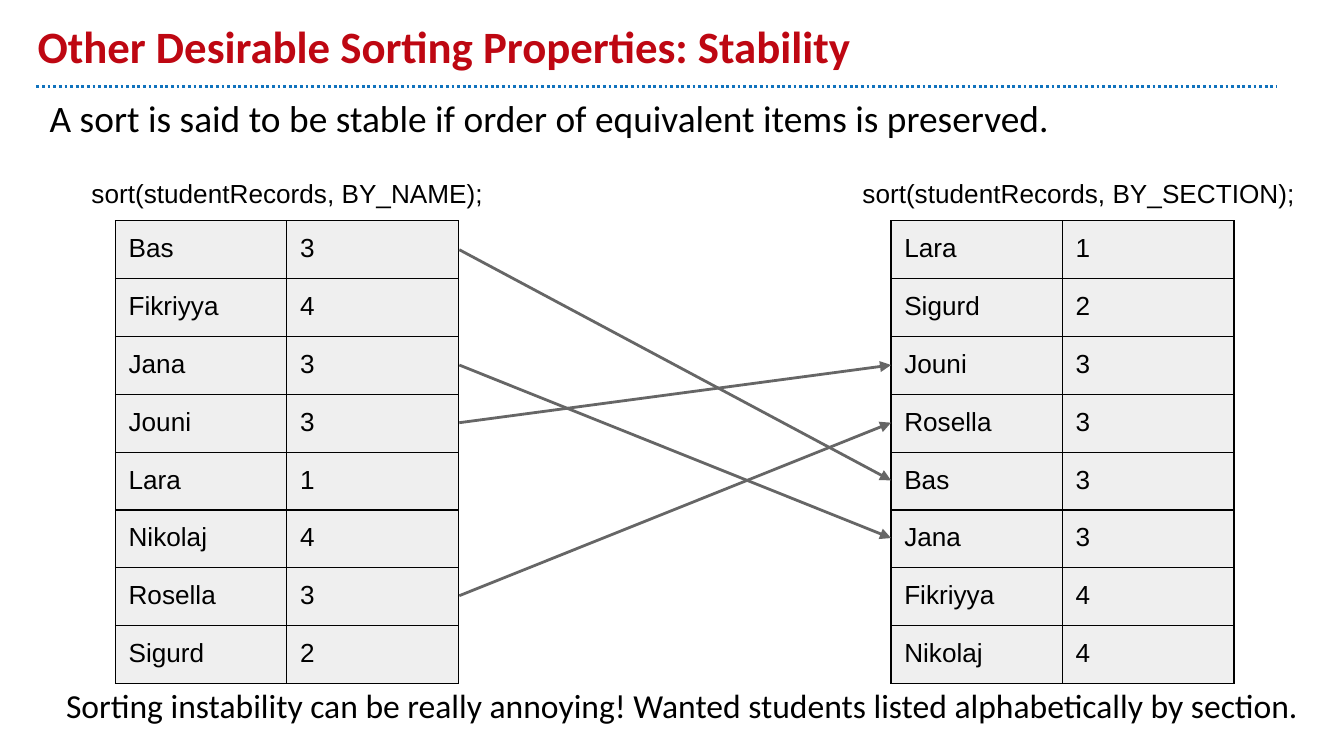
import pptx
import pptx.dml.color
import pptx.enum.dml
import pptx.enum.shapes
import pptx.enum.text
import pptx.oxml
import pptx.oxml.ns
import pptx.util
from pptx.util import Cm

TITLE = "Other Desirable Sorting Properties: Stability"
DEFINITION = "A sort is said to be stable if order of equivalent items is preserved."
REMARK = ("Sorting instability can be really annoying! "
          "Wanted students listed alphabetically by section.")
BY_NAME = [("Bas", 3), ("Fikriyya", 4), ("Jana", 3), ("Jouni", 3),
           ("Lara", 1), ("Nikolaj", 4), ("Rosella", 3), ("Sigurd", 2)]
BY_SECTION = [("Lara", 1), ("Sigurd", 2), ("Jouni", 3), ("Rosella", 3),
              ("Bas", 3), ("Jana", 3), ("Fikriyya", 4), ("Nikolaj", 4)]
TRACKED_STUDENTS = ["Jana", "Jouni", "Rosella", "Bas"]

THEME = {
    "heading_font": "Calibri", "code_font": "Arial",
    "title": 24, "definition": 20, "remark": 18, "code": 14,
    "red": "BE0712", "black": "000000", "blue": "1072BD",
    "arrow": "666666", "cell": "EFEFEF",
}

# Lengths in centimetres
INSET = 0.25
TABLE_TOP, COLUMN_WIDTH, ROW_HEIGHT = 4.17, 3.24, 1.06
LEFT_TABLE, RIGHT_TABLE = 2.18, 16.84
ARROW_START, ARROW_END = 8.68, 16.84
ARROW_TOP, ARROW_PITCH = 4.72, 1.09


def color(name):
    return pptx.dml.color.RGBColor.from_string(THEME[name])


def write(frame, text, size, font, ink="black", bold=False):
    frame.word_wrap = True
    frame.margin_left = frame.margin_right = Cm(INSET)
    frame.margin_top = frame.margin_bottom = Cm(INSET)
    paragraph = frame.paragraphs[0]
    paragraph.text = text
    paragraph.alignment = pptx.enum.text.PP_ALIGN.LEFT
    paragraph.font.name = THEME[font]
    paragraph.font.size = pptx.util.Pt(THEME[size])
    paragraph.font.color.rgb = color(ink)
    paragraph.font.bold = bold


def add_text(slide, box, text, size, font):
    shape = slide.shapes.add_textbox(*map(Cm, box))
    write(shape.text_frame, text, size, font)


def add_title(slide):
    title = slide.shapes.title
    title.left, title.top, title.width, title.height = map(
        Cm, (0.46, 0.25, 22.86, 1.37))
    frame = title.text_frame
    frame.auto_size = pptx.enum.text.MSO_AUTO_SIZE.NONE
    frame.vertical_anchor = pptx.enum.text.MSO_ANCHOR.BOTTOM
    write(frame, TITLE, "title", "heading_font", "red", True)


def add_line(slide, ends, ink):
    line = slide.shapes.add_connector(
        pptx.enum.shapes.MSO_CONNECTOR.STRAIGHT, *map(Cm, ends))
    line.line.color.rgb = color(ink)
    line.line.width = pptx.util.Pt(1.5)
    properties = line._element.spPr
    properties.append(pptx.oxml.parse_xml(
        f"<a:effectLst {pptx.oxml.ns.nsdecls('a')}/>"))
    return line


def add_arrow(slide, ends):
    arrow = add_line(slide, ends, "arrow")
    arrow.line._get_or_add_ln().append(pptx.oxml.parse_xml(
        f"<a:tailEnd {pptx.oxml.ns.nsdecls('a')} type='triangle'/>"))


def add_borders(cell):
    properties = cell._tc.get_or_add_tcPr()
    for side in "LRTB":
        properties.append(pptx.oxml.parse_xml(
            f"<a:ln{side} {pptx.oxml.ns.nsdecls('a')} w='9525'><a:solidFill>"
            f"<a:srgbClr val='{THEME['black']}'/></a:solidFill></a:ln{side}>"))


def add_records(slide, left, records):
    table = slide.shapes.add_table(
        len(records), 2, Cm(left), Cm(TABLE_TOP),
        Cm(2 * COLUMN_WIDTH), Cm(len(records) * ROW_HEIGHT)).table
    for column in table.columns:
        column.width = Cm(COLUMN_WIDTH)
    for row, record in enumerate(records):
        table.rows[row].height = Cm(ROW_HEIGHT)
        for column, value in enumerate(record):
            cell = table.cell(row, column)
            add_borders(cell)
            cell.fill.solid()
            cell.fill.fore_color.rgb = color("cell")
            cell.margin_left = cell.margin_right = Cm(INSET)
            cell.margin_top = cell.margin_bottom = Cm(INSET)
            write(cell.text_frame, str(value), "code", "code_font")


def arrow_height(records, student):
    names = [name for name, section in records]
    return ARROW_TOP + names.index(student) * ARROW_PITCH


def main():
    presentation = pptx.Presentation()
    presentation.slide_width = Cm(25.4)
    presentation.slide_height = Cm(14.29)
    slide = presentation.slides.add_slide(presentation.slide_layouts[5])

    rule = add_line(slide, (0.69, 1.63, 24.13, 1.63), "blue")
    rule.line.dash_style = pptx.enum.dml.MSO_LINE.ROUND_DOT
    add_title(slide)
    add_text(slide, (0.69, 1.55, 23.95, 1.4), DEFINITION,
             "definition", "heading_font")

    add_records(slide, LEFT_TABLE, BY_NAME)
    add_text(slide, (1.48, 3.11, 8.38, 0.84),
             "sort(studentRecords, BY_NAME);", "code", "code_font")
    add_records(slide, RIGHT_TABLE, BY_SECTION)
    add_text(slide, (16.05, 3.11, 9.35, 0.84),
             "sort(studentRecords, BY_SECTION);", "code", "code_font")

    for student in TRACKED_STUDENTS:
        add_arrow(slide, (ARROW_START, arrow_height(BY_NAME, student),
                          ARROW_END, arrow_height(BY_SECTION, student)))

    add_text(slide, (1, 12.7, 24.4, 1.37), REMARK, "remark", "heading_font")
    presentation.save("out.pptx")


if __name__ == "__main__":
    main()
